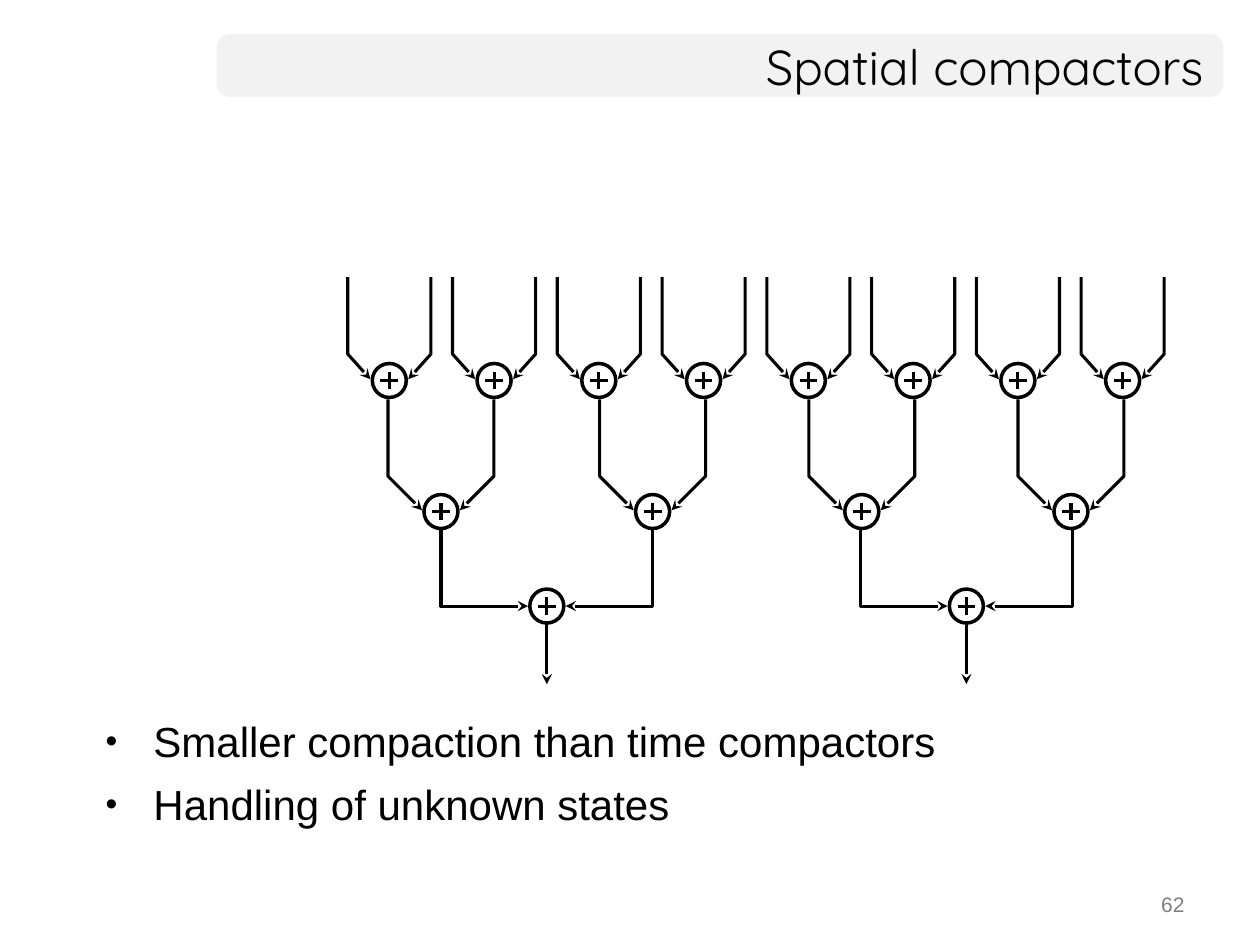
from lxml.etree import SubElement
from pptx import Presentation
from pptx.dml.color import RGBColor
from pptx.enum.shapes import MSO_CONNECTOR, MSO_SHAPE
from pptx.enum.text import MSO_ANCHOR, PP_ALIGN
from pptx.oxml.ns import qn
from pptx.util import Inches, Pt

COLORS = {"ink": "000000", "paper": "FFFFFF", "band": "F2F2F2", "number": "808080"}


class Page:
    body_font = "Arial"
    title_font = "Quicksand"
    wire_width = 1.75
    gate_size = 0.27
    plus_size = 0.14

    def __init__(self, deck):
        self.slide = deck.slides.add_slide(deck.slide_layouts[6])
        self.shapes = self.slide.shapes

    def color(self, name):
        return RGBColor.from_string(COLORS[name])

    def shape(self, preset, left, top, width, height, fill):
        shape = self.shapes.add_shape(
            preset, Inches(left), Inches(top), Inches(width), Inches(height))
        shape.shadow.inherit = False
        shape.fill.solid()
        shape.fill.fore_color.rgb = self.color(fill)
        shape.line.fill.background()
        return shape

    def stroke(self, line, width, arrow=False):
        line.color.rgb = self.color("ink")
        line.width = Pt(width)
        if arrow:
            SubElement(line._get_or_add_ln(), qn("a:tailEnd"), type="stealth")

    def line(self, start, end, arrow=False):
        connector = self.shapes.add_connector(
            MSO_CONNECTOR.STRAIGHT, *map(Inches, start + end))
        self.stroke(connector.line, self.wire_width, arrow)
        SubElement(connector._element.spPr, qn("a:effectLst"))

    def wire(self, *points):
        start, *rest = [(Inches(x), Inches(y)) for x, y in points]
        builder = self.shapes.build_freeform(*start)
        builder.add_line_segments(rest, close=False)
        wire = builder.convert_to_shape()
        wire.shadow.inherit = False
        wire.fill.background()
        self.stroke(wire.line, self.wire_width, arrow=True)

    def gate(self, x, y):
        size, arm = self.gate_size, self.plus_size / 2
        circle = self.shape(
            MSO_SHAPE.OVAL, x - size / 2, y - size / 2, size, size, "paper")
        self.stroke(circle.line, 2)
        self.line((x, y - arm), (x, y + arm))
        self.line((x - arm, y), (x + arm, y))

    def inputs(self, x, spread, reach, top, bend, end):
        for side in (-1, 1):
            outer = x + side * spread
            self.wire((outer, top), (outer, bend), (x + side * reach, end))

    def text(self, left, top, width, height, lines, size, font, color="ink",
             align=PP_ALIGN.LEFT, anchor=MSO_ANCHOR.MIDDLE, bullets=False):
        box = self.shapes.add_textbox(
            Inches(left), Inches(top), Inches(width), Inches(height))
        frame = box.text_frame
        frame.word_wrap = True
        frame.vertical_anchor = anchor
        for index, words in enumerate(lines):
            para = frame.paragraphs[0] if index == 0 else frame.add_paragraph()
            para.alignment = align
            if bullets:
                self.bullet(para)
                para.line_spacing = 1.05
            if index:
                para.space_before = Pt(6)
            span = para.add_run()
            span.text = words
            span.font.size = Pt(size)
            span.font.name = font
            span.font.color.rgb = self.color(color)

    def bullet(self, para):
        properties = para._p.get_or_add_pPr()
        properties.set("marL", str(Inches(0.38)))
        properties.set("indent", str(-Inches(0.38)))
        bullet_color = SubElement(properties, qn("a:buClr"))
        SubElement(bullet_color, qn("a:srgbClr"), val=COLORS["ink"])
        SubElement(properties, qn("a:buSzPct"), val="80000")
        SubElement(properties, qn("a:buFont"), typeface=self.body_font)
        SubElement(properties, qn("a:buChar"), char="•")


def main():
    deck = Presentation()
    deck.slide_width, deck.slide_height = Inches(10), Inches(7.5)
    page = Page(deck)

    band = page.shape(MSO_SHAPE.ROUNDED_RECTANGLE, 1.72, 0.27, 7.99, 0.5, "band")
    band.adjustments[0] = 0.21
    page.text(7.17, 7, 2.33, 0.35, ["62"], 12, page.body_font, "number",
              PP_ALIGN.RIGHT)
    page.text(1.72, 0.27, 7.93, 0.5, ["Spatial compactors"], 28,
              page.title_font, align=PP_ALIGN.RIGHT)

    for index in range(8):
        x = 3.09 + index * 5.82 / 7
        page.gate(x, 3.02)
        page.inputs(x, 0.33, 0.15, 2.2, 2.81, 3.01)
    for x in (3.5, 5.18, 6.84, 8.5):
        page.gate(x, 4.06)
        page.inputs(x, 0.42, 0.15, 3.17, 3.78, 4.05)
    for x in (4.34, 7.67):
        page.line((x, 4.86), (x, 5.43), arrow=True)
        page.gate(x, 4.81)
        page.inputs(x, 0.84, 0.15, 4.2, 4.81, 4.81)

    page.text(0.74, 5.61, 8.5, 1.21,
              ["Smaller compaction than time compactors",
               "Handling of unknown states"],
              24, page.body_font, anchor=MSO_ANCHOR.TOP, bullets=True)
    deck.save("out.pptx")


if __name__ == "__main__":
    main()
